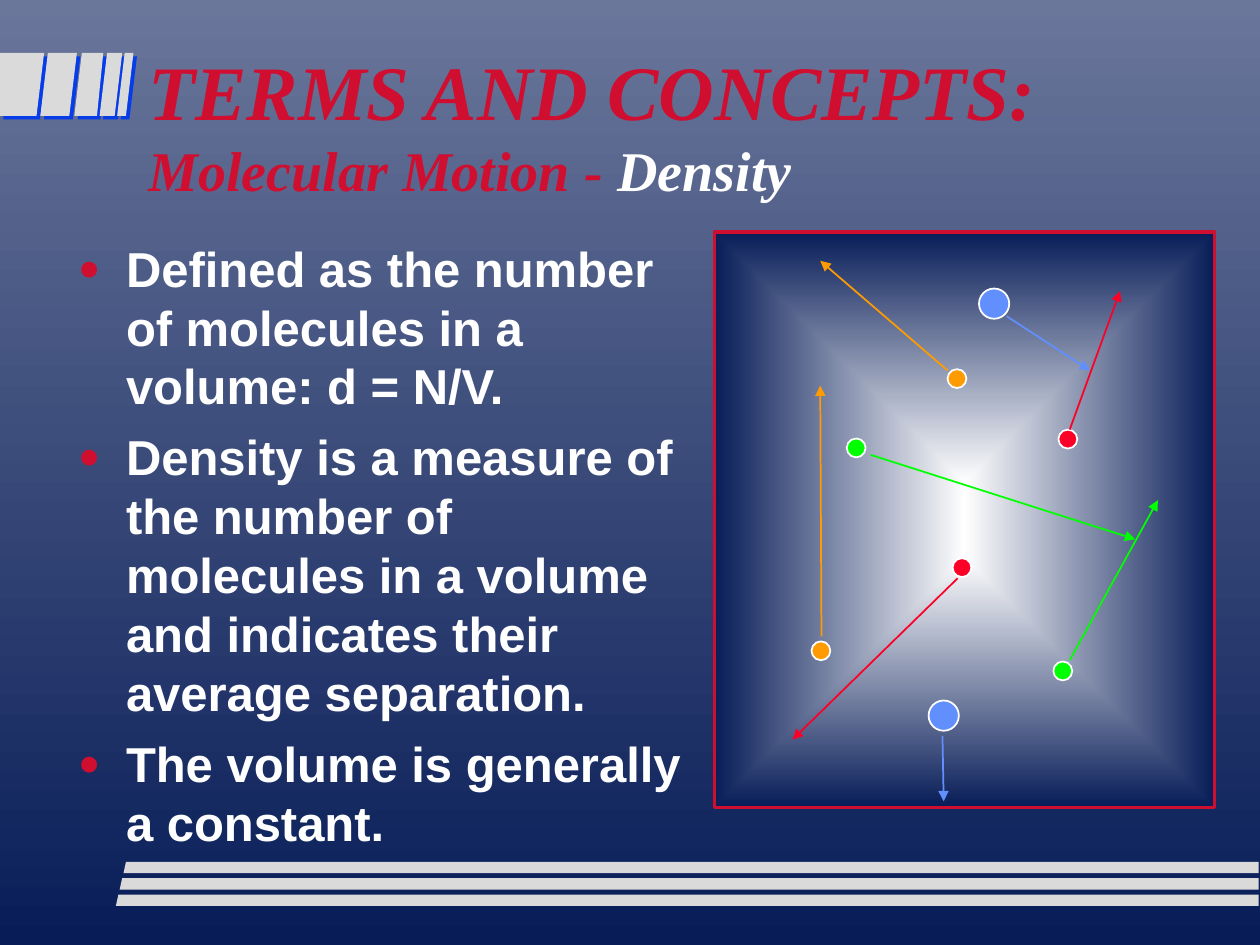
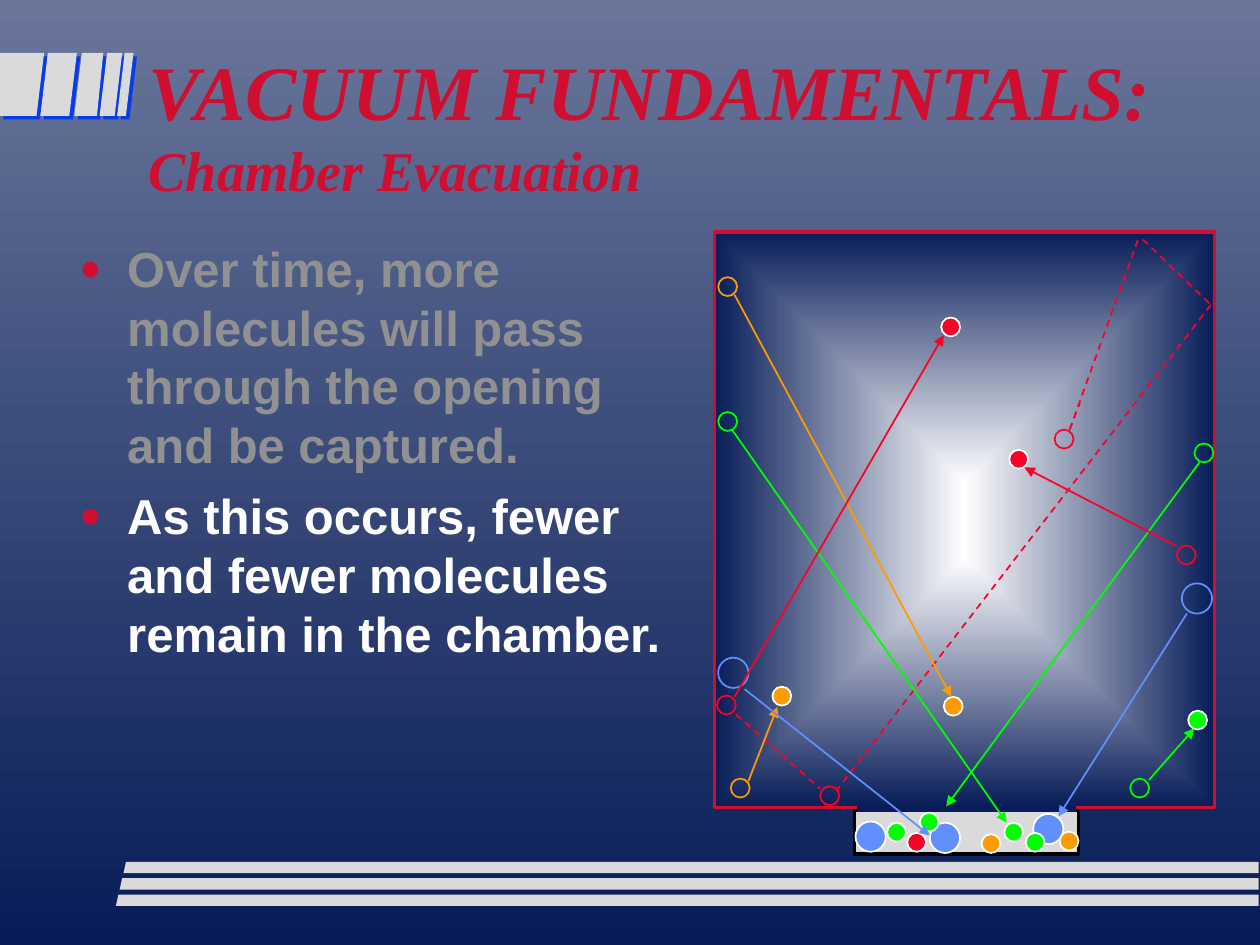
from lxml.etree import SubElement
from pptx import Presentation
from pptx.dml.color import RGBColor
from pptx.enum.dml import MSO_LINE
from pptx.enum.shapes import MSO_CONNECTOR, MSO_SHAPE
from pptx.enum.text import MSO_ANCHOR, MSO_AUTO_SIZE, PP_ALIGN
from pptx.oxml.ns import qn
from pptx.util import Pt

PX = 9144  # EMU per px, 100 px to the inch

SKY = RGBColor(0x6A, 0x76, 0x9A)
NAVY = RGBColor(0x08, 0x1D, 0x58)
GLOW = RGBColor(0xFE, 0xFE, 0xFE)
WHITE = RGBColor(0xFF, 0xFF, 0xFF)
BLACK = RGBColor(0, 0, 0)
SILVER = RGBColor(0xDA, 0xDA, 0xDA)
GREY = RGBColor(0x91, 0x91, 0x91)
CRIMSON = RGBColor(0xCF, 0x0E, 0x30)
COBALT = RGBColor(0x06, 0x3D, 0xE8)
RED = RGBColor(0xFC, 0x01, 0x28)
GREEN = RGBColor(0, 0xFF, 0)
BLUE = RGBColor(0x61, 0x8F, 0xFD)
ORANGE = RGBColor(0xFE, 0x9B, 0x03)

# Top left, top right and bottom right x of each flag stripe
FLAGS = [(0, 35, 29), (38, 61, 55), (65, 82, 77), (85, 97, 91), (99, 106, 100)]
SLANT = 6
BOX = (567, 184, 397, 457)


def node(parent, tag, **attrs):
    """Append a DrawingML child with the given attributes."""
    child = SubElement(parent, qn(tag))
    for key, value in attrs.items():
        child.set(key, str(value))
    return child


def fade(fill, start, end):
    """Turn a fill into a two-colour gradient that runs downwards."""
    fill.gradient()
    fill.gradient_angle = 270
    for stop, color in zip(fill.gradient_stops, (start, end)):
        stop.color.rgb = color


class Deck:
    def __init__(self):
        self.prs = Presentation()
        self.prs.slide_width = 1000 * PX
        self.prs.slide_height = 750 * PX
        self.master = self.prs.slide_master
        fade(self.master.background.fill, SKY, NAVY)
        self.slide = self.shapes = None

    def add(self):
        first = self.slide is None
        self.slide = self.prs.slides.add_slide(self.prs.slide_layouts[1])
        self.shapes = self.slide.shapes
        if first:
            self.trim()

    def group(self):
        """Send the next shapes into a new group."""
        self.shapes = self.slide.shapes.add_group_shape().shapes

    def trim(self):
        """Draw the flag and the foot bands, then move them to the master."""
        parts = []
        for left, right, foot in FLAGS:
            base = max(left - SLANT, 0)
            flag = self.band([(left, 42), (right, 42), (foot, 92), (base, 92)])
            shade = node(node(flag.element.spPr, "a:effectLst"), "a:outerShdw",
                         dist=Pt(2.8), dir=45 * 60000, algn="ctr", rotWithShape=0)
            node(shade, "a:srgbClr", val=COBALT)
            parts.append(flag)
        for i in range(3):
            left, top = 92 + 3 * i, 710 - 13 * i
            band = self.band([(left, top + 9), (999, top + 9),
                              (999, top), (left + 2, top)])
            band.shadow.inherit = False
            parts.append(band)
        for i, part in enumerate(parts):
            part.element.nvSpPr.cNvPr.set("id", str(100 + i))
            self.master.shapes.element.append(part.element)

    def band(self, points):
        pen = self.shapes.build_freeform(*points[0], scale=PX)
        pen.add_line_segments(points[1:], close=True)
        shape = pen.convert_to_shape()
        shape.fill.solid()
        shape.fill.fore_color.rgb = SILVER
        shape.line.fill.background()
        return shape

    def place(self, holder, area, anchor):
        holder.left, holder.top, holder.width, holder.height = (n * PX for n in area)
        frame = holder.text_frame
        frame.auto_size = MSO_AUTO_SIZE.NONE
        frame.vertical_anchor = anchor
        frame.word_wrap = True
        return frame

    def title(self, head, sub, key=""):
        """Set the two-line title; key is a white ending of the second line."""
        frame = self.place(self.slide.shapes.title, (108, 33, 850, 129), MSO_ANCHOR.MIDDLE)
        para = frame.paragraphs[0]
        para.text = f"{head}\v{sub}"
        para.alignment = PP_ALIGN.LEFT
        if key:
            para.add_run().text = key
        for run, size, color in zip(para.runs, (44, 32, 32), (CRIMSON, CRIMSON, WHITE)):
            self.style(run.font, "Times New Roman", size, color)
            run.font.italic = True

    def style(self, font, name, size, color):
        font.name, font.size, font.bold = name, Pt(size), True
        font.color.rgb = color

    def list(self, area, items):
        """Fill the body with (text, colour) bullets."""
        frame = self.place(self.slide.placeholders[1], area, MSO_ANCHOR.TOP)
        frame.text = "\n".join(text for text, _ in items)
        for para, (_, color) in zip(frame.paragraphs, items):
            para.space_before = Pt(7)
            para.line_spacing = 1.0
            self.style(para.runs[0].font, "Arial", 28, color)
            props = para._p.get_or_add_pPr()
            props.set("marL", str(38 * PX))
            props.set("indent", str(-38 * PX))
            node(node(props, "a:buClr"), "a:srgbClr", val=CRIMSON)
            node(props, "a:buSzPct", val=75000)
            node(props, "a:buFont", typeface="Arial")
            node(props, "a:buChar", char="●")

    def shape(self, kind, area, fill, edge, width):
        shape = self.shapes.add_shape(kind, *(n * PX for n in area))
        shape.shadow.inherit = False
        if fill is None:
            shape.fill.background()
        else:
            shape.fill.solid()
            shape.fill.fore_color.rgb = fill
        shape.line.color.rgb = edge
        shape.line.width = Pt(width)
        return shape

    def room(self):
        """Draw the chamber, glowing from its centre."""
        shape = self.shape(MSO_SHAPE.RECTANGLE, BOX, NAVY, CRIMSON, 2)
        fade(shape.fill, GLOW, NAVY)
        grad = shape.element.spPr.find(qn("a:gradFill"))
        grad.remove(grad.find(qn("a:lin")))
        node(node(grad, "a:path", path="rect"), "a:fillToRect",
             l=50000, t=50000, r=50000, b=50000)

    def dots(self, spots, ring=False):
        """Draw molecules, filled or as rings, from {colour: corners}."""
        for color, corners in spots.items():
            size = 24 if color == BLUE else 15
            fill, edge = (None, color) if ring else (color, WHITE)
            for x, y in corners:
                self.shape(MSO_SHAPE.OVAL, (x, y, size, size), fill, edge, 1)

    def line(self, ends, color, width=1):
        wire = self.shapes.add_connector(MSO_CONNECTOR.STRAIGHT, *(n * PX for n in ends))
        wire.line.color.rgb = color
        wire.line.width = Pt(width)
        node(wire.element.spPr, "a:effectLst")
        return wire

    def dash(self, ends, color):
        self.line(ends, color).line.dash_style = MSO_LINE.DASH

    def arrows(self, paths):
        for color, tracks in paths.items():
            for ends in tracks:
                wire = self.line(ends, color)
                node(wire.line._get_or_add_ln(), "a:tailEnd", type="triangle")


def density(deck):
    deck.add()
    deck.title("TERMS AND CONCEPTS:", "Molecular Motion - ", "Density")
    deck.list((52, 184, 515, 319), [
        ("Defined as the number of molecules in a volume: d = N/V.", WHITE),
        ("Density is a measure of the number of molecules in a volume "
         "and indicates their average separation.", WHITE),
        ("The volume is generally a constant.", WHITE),
    ])
    deck.group()
    deck.room()
    deck.dots({
        GREEN: [(836, 525), (672, 348)],
        BLUE: [(737, 556), (777, 229)],
        RED: [(840, 341), (756, 443)],
        ORANGE: [(644, 509), (752, 293)],
    })
    deck.arrows({
        RED: [(760, 459, 629, 587), (849, 341, 889, 231)],
        GREEN: [(691, 361, 901, 428), (849, 524, 919, 397)],
        BLUE: [(748, 584, 749, 636), (799, 251, 865, 294)],
        ORANGE: [(652, 505, 651, 306), (752, 294, 651, 207)],
    })


def chamber(deck):
    deck.add()
    deck.title("VACUUM FUNDAMENTALS:", "Chamber Evacuation")
    deck.list((53, 184, 513, 457), [
        ("Over time, more molecules will pass through the opening and be captured.", GREY),
        ("As this occurs, fewer and fewer molecules remain in the chamber.", WHITE),
    ])
    deck.shape(MSO_SHAPE.RECTANGLE, (678, 643, 178, 35), SILVER, BLACK, 2)
    deck.room()
    deck.line((680, 642, 854, 642), NAVY, 4)
    deck.dots({
        BLUE: [(738, 653), (820, 646), (679, 652)],
        GREEN: [(797, 653), (730, 645), (704, 653), (814, 661), (943, 564)],
        ORANGE: [(841, 660), (749, 553), (779, 662), (613, 545)],
        RED: [(747, 252), (720, 661), (801, 357)],
    })
    deck.dots({
        GREEN: [(948, 352), (570, 327), (897, 618)],
        RED: [(837, 341), (569, 552), (651, 624), (934, 433)],
        BLUE: [(938, 463), (570, 522)],
        ORANGE: [(570, 220), (580, 618)],
    }, ring=True)
    for ends in [(849, 341, 857, 320), (849, 341, 904, 188), (907, 190, 960, 241),
                 (961, 242, 665, 626), (584, 567, 651, 626)]:
        deck.dash(ends, RED)
    deck.arrows({
        GREEN: [(952, 367, 751, 640), (581, 341, 799, 653), (912, 619, 948, 578)],
        ORANGE: [(583, 234, 755, 553), (594, 620, 617, 561)],
        BLUE: [(942, 487, 840, 648), (591, 547, 738, 663)],
        RED: [(583, 553, 749, 266), (933, 433, 813, 371)],
    })


def main():
    deck = Deck()
    density(deck)
    chamber(deck)
    deck.prs.save("out.pptx")


if __name__ == "__main__":
    main()
